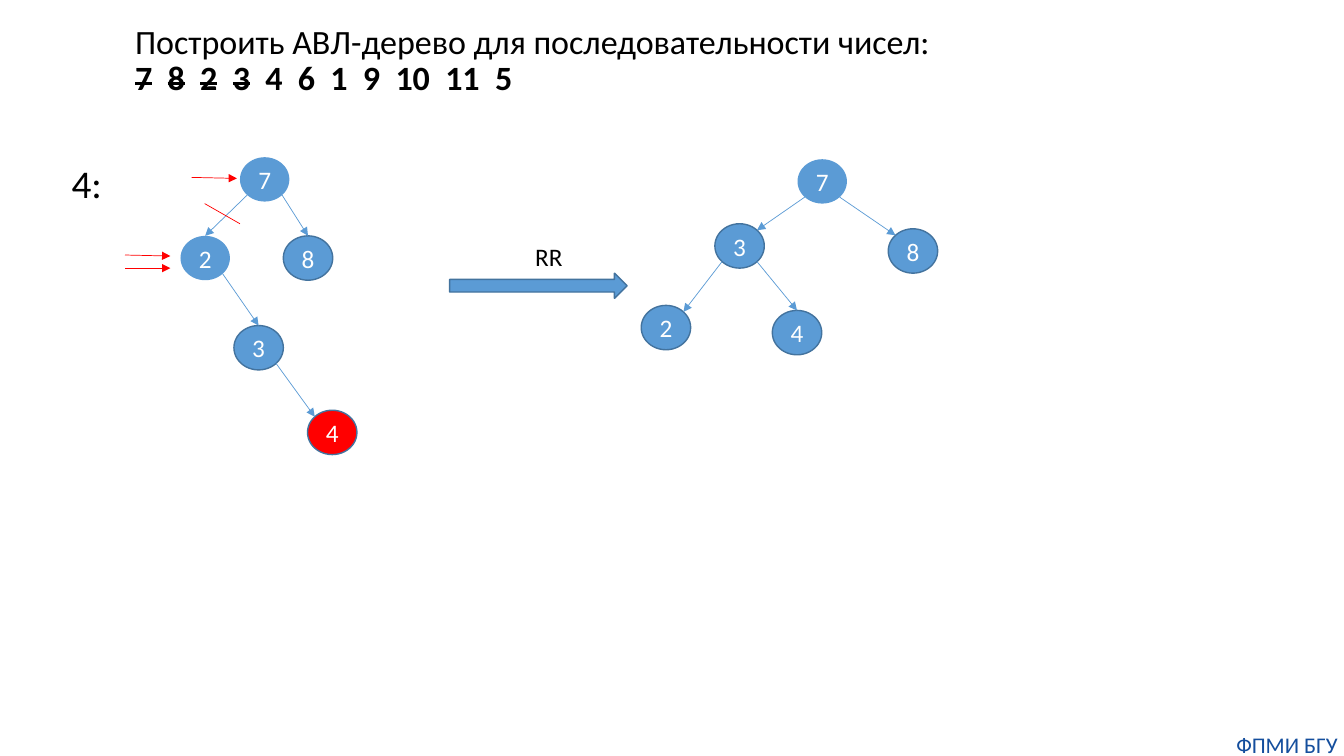
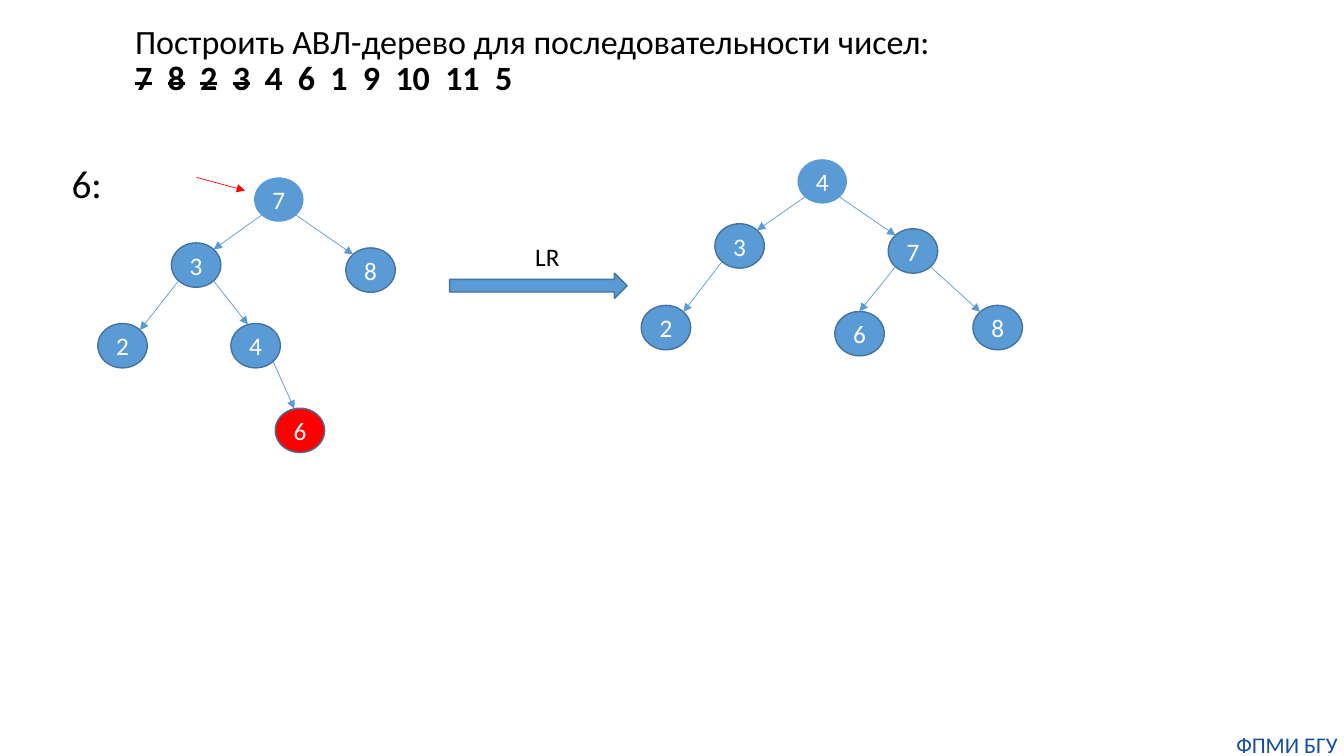
"""Build two slides that show rotations in an AVL tree."""
from dataclasses import dataclass
from math import cos, radians, sin

from lxml import etree
from pptx import Presentation
from pptx import util as u
from pptx.dml.color import RGBColor
from pptx.enum import shapes, text
from pptx.oxml.ns import qn

COLORS = {
    "node": "5B9BD5",
    "outline": "43739E",
    "accent": "FF0000",
    "text": "000000",
    "node_text": "FFFFFF",
    "footer": "144E9D",
}
FONT = "Calibri"
NODE_WIDTH, NODE_HEIGHT = 0.49, 0.44
TASK = "Построить АВЛ-дерево для последовательности чисел:"
SEQUENCE = [7, 8, 2, 3, 4, 6, 1, 9, 10, 11, 5]
TITLE_SIZE = 24.3
NUMBER_GAP = "550"


@dataclass(frozen=True)
class Node:
    key: int
    left: float
    top: float
    parent: int | None = None
    lean: float = 45
    fill: str = "node"
    outlined: bool = True

    def rim(self, side: int, vertical: int, angle: float = 45) -> tuple[float, float]:
        """Return the rim point at an angle from the vertical axis."""
        x = self.left + NODE_WIDTH / 2 * (1 + side * sin(radians(angle)))
        y = self.top + NODE_HEIGHT / 2 * (1 + vertical * cos(radians(angle)))
        return x, y


@dataclass(frozen=True)
class Mark:
    start: tuple[float, float]
    end: tuple[float, float]
    arrow: bool = True


@dataclass(frozen=True)
class Step:
    key: int
    inserted: int
    rotation: str
    rotation_width: float
    before: list[Node]
    after: list[Node]
    marks: list[Mark]


STEPS = [
    Step(
        key=4, inserted=4, rotation="RR", rotation_width=0.48,
        before=[
            Node(7, 2.38, 1.56, outlined=False),
            Node(8, 2.81, 2.34, parent=7, lean=0),
            Node(2, 1.79, 2.34, parent=7, lean=0, outlined=False),
            Node(3, 2.32, 3.23, parent=2, lean=0),
            Node(4, 3.05, 4.07, parent=3, fill="accent"),
        ],
        after=[
            Node(7, 7.91, 1.58, outlined=False),
            Node(3, 7.09, 2.22, parent=7),
            Node(8, 8.81, 2.27, parent=7),
            Node(2, 6.36, 3.03, parent=3),
            Node(4, 7.66, 3.08, parent=3, lean=0),
        ],
        marks=[
            Mark((1.9, 1.76), (2.35, 1.77)),
            Mark((1.24, 2.53), (1.69, 2.54)),
            Mark((1.24, 2.66), (1.69, 2.66)),
            Mark((2.03, 2.02), (2.38, 2.22), arrow=False),
        ],
    ),
    Step(
        key=6, inserted=5, rotation="LR", rotation_width=0.45,
        before=[
            Node(7, 2.52, 1.76, outlined=False),
            Node(3, 1.7, 2.41, parent=7),
            Node(8, 3.43, 2.46, parent=7),
            Node(2, 0.97, 3.21, parent=3),
            Node(4, 2.29, 3.21, parent=3, lean=18),
            Node(6, 2.73, 4.05, parent=4, lean=13, fill="accent"),
        ],
        after=[
            Node(4, 7.91, 1.58, outlined=False),
            Node(3, 7.09, 2.22, parent=4),
            Node(7, 8.81, 2.27, parent=4),
            Node(2, 6.36, 3.03, parent=3),
            Node(6, 8.28, 3.09, parent=7, lean=0),
            Node(8, 9.65, 3.03, parent=7),
        ],
        marks=[Mark((1.95, 1.76), (2.43, 1.89))],
    ),
]


def rgb(name: str) -> RGBColor:
    return RGBColor.from_string(COLORS[name])


def add_text(paragraph, content: str, *, size: float = 18, color: str = "text",
             bold: bool = False, strike: bool = False, spacing: str | None = None) -> None:
    run = paragraph.add_run()
    run.text = content
    run.font.name = FONT
    run.font.size = u.Pt(size)
    run.font.bold = bold
    run.font.color.rgb = rgb(color)
    properties = run._r.get_or_add_rPr()
    if strike:
        properties.set("strike", "sngStrike")
    if spacing:
        properties.set("spc", spacing)


def place(shape, left: float, top: float, width: float, height: float) -> None:
    shape.left, shape.top = u.Inches(left), u.Inches(top)
    shape.width, shape.height = u.Inches(width), u.Inches(height)


def clear_insets(frame) -> None:
    frame.margin_left = frame.margin_right = frame.margin_top = frame.margin_bottom = 0


def add_box(slide, left: float, top: float, width: float, height: float):
    return slide.shapes.add_textbox(
        u.Inches(left), u.Inches(top), u.Inches(width), u.Inches(height)).text_frame


def add_figure(slide, kind, left: float, top: float, width: float, height: float,
               fill: str = "node", outlined: bool = True):
    figure = slide.shapes.add_shape(
        kind, u.Inches(left), u.Inches(top), u.Inches(width), u.Inches(height))
    figure.shadow.inherit = False
    figure.fill.solid()
    figure.fill.fore_color.rgb = rgb(fill)
    if outlined:
        figure.line.color.rgb = rgb("outline")
        figure.line.width = u.Pt(1)
    else:
        figure.line.fill.background()
    return figure


def add_line(slide, mark: Mark, color: str) -> None:
    ends = [u.Inches(value) for value in (*mark.start, *mark.end)]
    line = slide.shapes.add_connector(shapes.MSO_CONNECTOR.STRAIGHT, *ends)
    line.line.color.rgb = rgb(color)
    line.line.width = u.Pt(0.5)
    if mark.arrow:
        etree.SubElement(line.get_or_add_ln(), qn("a:tailEnd"), type="triangle")
    etree.SubElement(line._element.spPr, qn("a:effectLst"))


def draw_tree(slide, nodes: list[Node]) -> None:
    by_key = {node.key: node for node in nodes}
    for node in nodes:
        circle = add_figure(slide, shapes.MSO_SHAPE.OVAL, node.left, node.top,
                            NODE_WIDTH, NODE_HEIGHT, node.fill, node.outlined)
        frame = circle.text_frame
        clear_insets(frame)
        frame.vertical_anchor = text.MSO_ANCHOR.MIDDLE
        label = frame.paragraphs[0]
        label.alignment = text.PP_ALIGN.CENTER
        add_text(label, str(node.key), color="node_text")
        if node.parent is not None:
            parent = by_key[node.parent]
            side = 1 if node.left > parent.left else -1
            edge = Mark(parent.rim(side, 1), node.rim(-side, -1, node.lean))
            add_line(slide, edge, "node")


def fill_title(slide, inserted: int) -> None:
    title = slide.shapes.title
    place(title, 1.24, 0.16, 11.5, 0.9)
    frame = title.text_frame
    frame.auto_size = text.MSO_AUTO_SIZE.NONE
    frame.vertical_anchor = text.MSO_ANCHOR.MIDDLE
    task = frame.paragraphs[0]
    task.alignment = text.PP_ALIGN.LEFT
    task.line_spacing = 0.9
    add_text(task, TASK, size=TITLE_SIZE)
    task.add_line_break()
    for index, number in enumerate(SEQUENCE):
        if index:
            add_text(task, " ", size=TITLE_SIZE, bold=True, spacing=NUMBER_GAP)
        add_text(task, str(number), size=TITLE_SIZE, bold=True, strike=index < inserted)


def fill_body(slide, key: int) -> None:
    body = slide.placeholders[1]
    place(body, 0.61, 1.58, 11.5, 4.45)
    body.text_frame.auto_size = text.MSO_AUTO_SIZE.NONE
    heading = body.text_frame.paragraphs[0]
    heading.line_spacing = 0.9
    heading.space_before = u.Pt(0)
    properties = heading._p.get_or_add_pPr()
    properties.set("marL", "0")
    properties.set("indent", "0")
    etree.SubElement(properties, qn("a:buNone"))
    add_text(heading, f"{key}:", size=28)


def add_rotation(slide, step: Step) -> None:
    add_figure(slide, shapes.MSO_SHAPE.RIGHT_ARROW, 4.46, 2.71, 1.76, 0.25)
    frame = add_box(slide, 5.21, 2.34, step.rotation_width, 0.4)
    frame.word_wrap = False
    frame.auto_size = text.MSO_AUTO_SIZE.SHAPE_TO_FIT_TEXT
    add_text(frame.paragraphs[0], step.rotation)


def add_footer(slide) -> None:
    frame = add_box(slide, 12.2, 7.25, 1.13, 0.27)
    clear_insets(frame)
    frame.word_wrap = True
    frame.auto_size = text.MSO_AUTO_SIZE.SHAPE_TO_FIT_TEXT
    faculty = frame.paragraphs[0]
    faculty.alignment = text.PP_ALIGN.CENTER
    add_text(faculty, "ФПМИ БГУ", size=16, color="footer")


def build_slide(deck, step: Step) -> None:
    slide = deck.slides.add_slide(deck.slide_layouts[1])
    fill_title(slide, step.inserted)
    fill_body(slide, step.key)
    draw_tree(slide, step.before)
    add_rotation(slide, step)
    draw_tree(slide, step.after)
    for mark in step.marks:
        add_line(slide, mark, "accent")
    add_footer(slide)


def main() -> None:
    deck = Presentation()
    deck.slide_width, deck.slide_height = u.Inches(13.33), u.Inches(7.5)
    for step in STEPS:
        build_slide(deck, step)
    deck.save("out.pptx")


if __name__ == "__main__":
    main()
